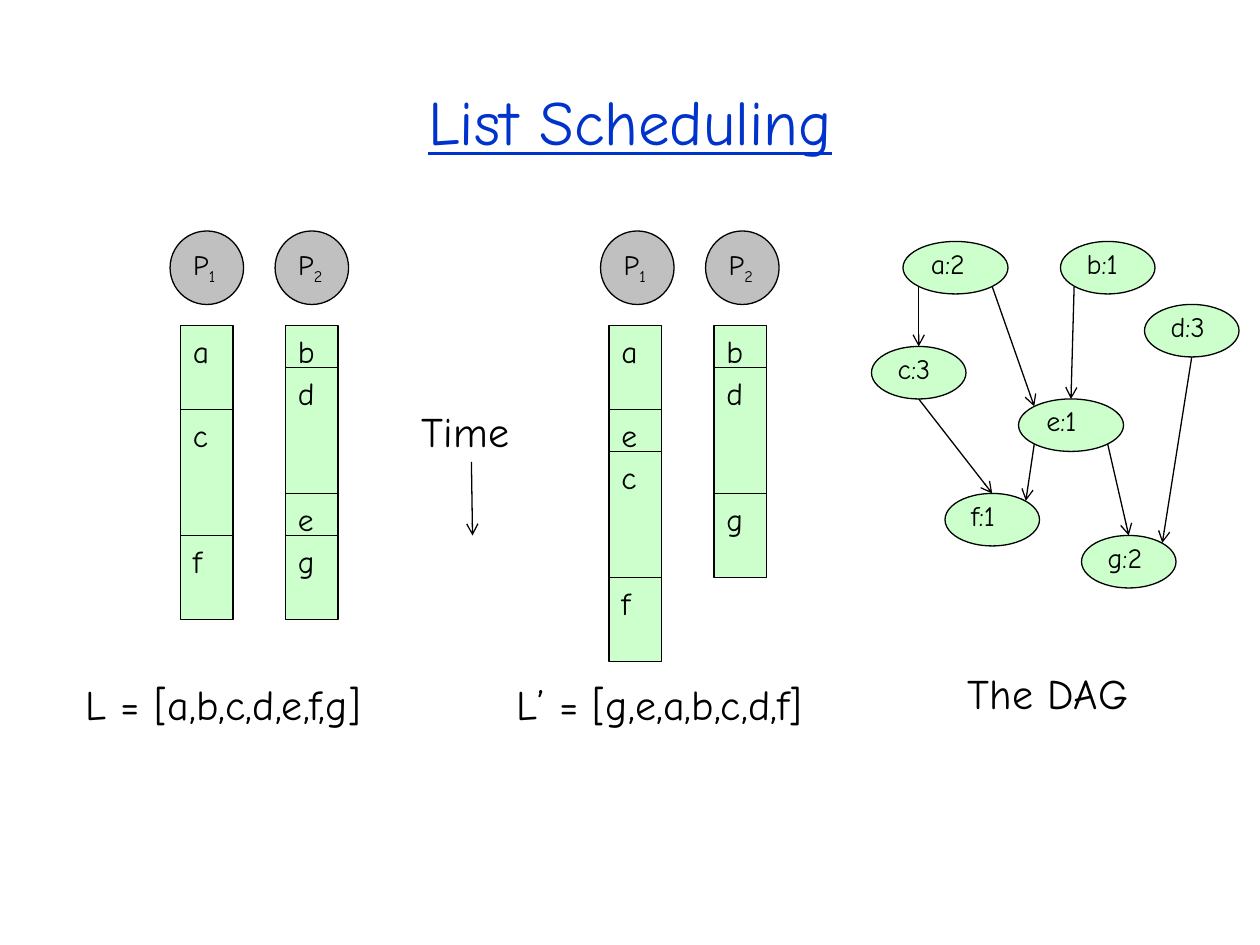
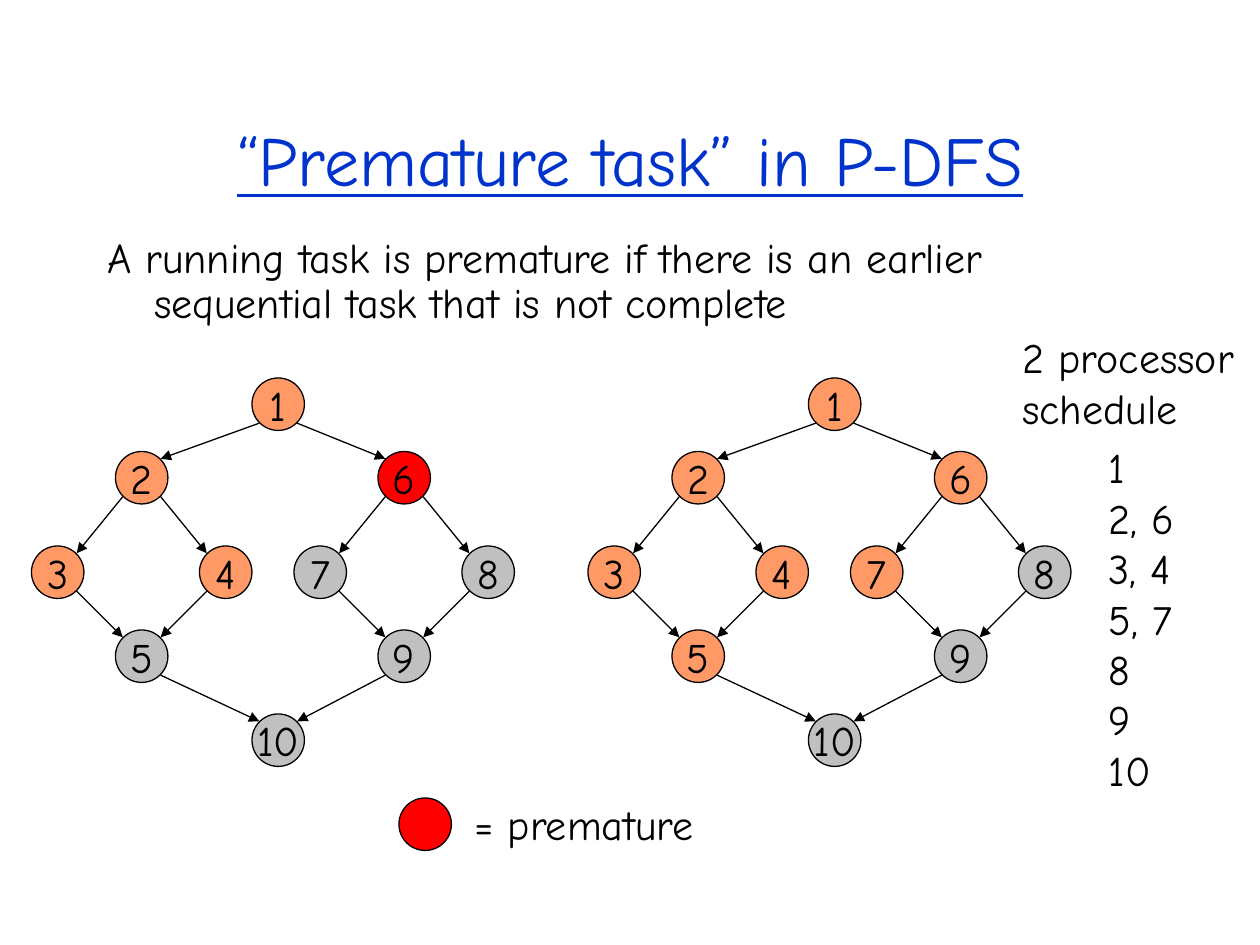
from lxml.etree import SubElement
from pptx import Presentation
from pptx.dml.color import RGBColor
from pptx.enum.shapes import MSO_CONNECTOR, MSO_SHAPE
from pptx.enum.text import MSO_ANCHOR, MSO_AUTO_SIZE, PP_ALIGN
from pptx.oxml.ns import qn
from pptx.util import Emu, Pt

BLACK = RGBColor(0x00, 0x00, 0x00)
BLUE = RGBColor(0x00, 0x33, 0xCC)
GRAY = RGBColor(0xC0, 0xC0, 0xC0)
GREEN = RGBColor(0xCC, 0xFF, 0xCC)
ORANGE = RGBColor(0xFF, 0x99, 0x66)
RED = RGBColor(0xFF, 0x00, 0x00)

FONT = "Comic Neue"
SCALE = 7620  # EMU in one px, 120 px to the inch
EDGE = 0.146  # inset of an ellipse's diagonal points, as part of its box
SITES = {"n": (0.5, 0), "s": (0.5, 1), "nw": (EDGE, EDGE), "ne": (1 - EDGE, EDGE),
         "sw": (EDGE, 1 - EDGE), "se": (1 - EDGE, 1 - EDGE)}


def px(*sizes):
    return [Emu(size * SCALE) for size in sizes]


def site(box, name):
    """Point on the outline of an ellipse, in whole px."""
    left, top, width, height = box
    across, down = SITES[name]
    return round(left + across * width), round(top + down * height)


class Deck:
    def __init__(self):
        self.prs = Presentation()
        self.prs.slide_width, self.prs.slide_height = px(1200, 900)
        self.slide = None

    def style(self, frame, size, color=BLACK, line=False):
        for para in frame.paragraphs:
            for run in para.runs:
                font = run.font
                font.name, font.size, font.underline = FONT, Pt(size), line
                font.color.rgb = color

    def place(self, holder, box, text):
        holder.left, holder.top, holder.width, holder.height = px(*box)
        frame = holder.text_frame
        frame.text = text
        frame.auto_size = MSO_AUTO_SIZE.NONE
        return frame

    def page(self, layout, title, box, size):
        self.slide = self.prs.slides.add_slide(self.prs.slide_layouts[layout])
        frame = self.place(self.slide.shapes.title, box, title)
        frame.vertical_anchor = MSO_ANCHOR.MIDDLE
        frame.paragraphs[0].alignment = PP_ALIGN.CENTER
        self.style(frame, size, BLUE, True)

    def body(self, text, box):
        frame = self.place(self.slide.placeholders[1], box, text)
        para = frame.paragraphs[0]
        para.line_spacing, para.space_before = 0.9, Pt(0)
        props = para._p.get_or_add_pPr()
        props.set("marL", str(45 * SCALE))
        props.set("indent", str(-45 * SCALE))
        SubElement(props, qn("a:buNone"))
        self.style(frame, 24)

    def label(self, text, box):
        frame = self.slide.shapes.add_textbox(*px(*box)).text_frame
        frame.text = text
        frame.word_wrap = False
        frame.auto_size = MSO_AUTO_SIZE.SHAPE_TO_FIT_TEXT
        self.style(frame, 24)

    def shape(self, kind, box, fill, text="", size=18, anchor=MSO_ANCHOR.TOP,
              align=PP_ALIGN.LEFT, wrap=True, sub=""):
        item = self.slide.shapes.add_shape(kind, *px(*box))
        item.shadow.inherit = False
        item.fill.solid()
        item.fill.fore_color.rgb = fill
        item.line.color.rgb, item.line.width = BLACK, Pt(0.75)
        if not text:
            return
        frame = item.text_frame
        frame.text = text
        frame.word_wrap, frame.vertical_anchor = wrap, anchor
        para = frame.paragraphs[0]
        para.alignment = align
        if sub:
            run = para.add_run()
            run.text = sub
            run._r.get_or_add_rPr().set("baseline", "-25000")
        self.style(frame, size)

    def arrow(self, start, end, head="arrow"):
        line = self.slide.shapes.add_connector(
            MSO_CONNECTOR.STRAIGHT, *px(*start, *end))
        line.line.color.rgb, line.line.width = BLACK, Pt(0.75)
        props = line._element.spPr
        SubElement(props.find(qn("a:ln")), qn("a:tailEnd")).set("type", head)
        SubElement(props, qn("a:effectLst"))


# Slide 1: two schedules as (task, time) stacks, and the task graph
UNIT = 40  # height of one time step
PLANS = [
    (162, 172, [[("a", 2), ("c", 3), ("f", 2)],
                [("b", 1), ("d", 3), ("e", 1), ("g", 2)]]),
    (572, 580, [[("a", 2), ("e", 1), ("c", 3), ("f", 2)],
                [("b", 1), ("d", 3), ("g", 2)]]),
]
DAG = {"a:2": (860, 230, 100, 50), "b:1": (1010, 230, 90, 50),
       "c:3": (830, 330, 90, 50), "d:3": (1090, 290, 90, 50),
       "e:1": (970, 380, 100, 50), "f:1": (900, 470, 90, 50),
       "g:2": (1030, 510, 90, 50)}
LINKS = [("a:2", "sw", "c:3", "n"), ("a:2", "se", "e:1", "nw"),
         ("b:1", "sw", "e:1", "n"), ("c:3", "s", "f:1", "n"),
         ("e:1", "sw", "f:1", "ne"), ("d:3", "s", "g:2", "ne"),
         ("e:1", "se", "g:2", "n")]


def list_slide(deck):
    deck.page(5, "List Scheduling", (90, 60, 1020, 110), 36)

    # Processors and their task stacks
    for head, left, stacks in PLANS:
        for col, stack in enumerate(stacks):
            shift = 100 * col
            deck.shape(MSO_SHAPE.OVAL, (head + shift, 220, 70, 70), GRAY,
                       "P", 16, sub=str(col + 1))
            top = 310
            for task, time in stack:
                deck.shape(MSO_SHAPE.RECTANGLE,
                           (left + shift, top, 50, time * UNIT), GREEN, task)
                top += time * UNIT

    # Task graph
    for text, box in DAG.items():
        deck.shape(MSO_SHAPE.OVAL, box, GREEN, text, 16, MSO_ANCHOR.BOTTOM)
    for start, out, end, into in LINKS:
        deck.arrow(site(DAG[start], out), site(DAG[end], into))

    # Time axis and captions
    deck.label("Time", (390, 380, 116, 61))
    deck.arrow((449, 440), (450, 510))
    deck.label("L = [a,b,c,d,e,f,g]", (70, 640, 342, 61))
    deck.label("L’ = [g,e,a,b,c,d,f]", (480, 640, 360, 61))
    deck.label("The DAG", (910, 630, 196, 61))


# Slide 2: the same task graph at two moments
SIDE = 50
SPOTS = {1: (240, 360), 2: (110, 430), 3: (30, 520), 4: (190, 520),
         5: (110, 600), 6: (360, 430), 7: (280, 520), 8: (440, 520),
         9: (360, 600), 10: (240, 680)}
NEXT = {1: (2, 6), 2: (3, 4), 3: (5,), 4: (5,), 5: (10,),
        6: (7, 8), 7: (9,), 8: (9,), 9: (10,)}


def graph(deck, shift, done, early=()):
    boxes = {num: (left + shift, top, SIDE, SIDE)
             for num, (left, top) in SPOTS.items()}
    for num, box in boxes.items():
        fill = RED if num in early else ORANGE if num in done else GRAY
        deck.shape(MSO_SHAPE.OVAL, box, fill, str(num), 24,
                   MSO_ANCHOR.MIDDLE, PP_ALIGN.CENTER, False)
    for start, ends in NEXT.items():
        for end in ends:
            right = boxes[end][0] > boxes[start][0]
            out, into = ("se", "nw") if right else ("sw", "ne")
            deck.arrow(site(boxes[start], out), site(boxes[end], into), "triangle")


def task_slide(deck):
    deck.page(1, "“Premature task” in P-DFS", (20, 101, 1160, 100), 40)
    deck.body("A running task is premature if there is an earlier "
              "sequential task that is not complete", (90, 220, 1020, 120))

    graph(deck, 0, {1, 2, 3, 4}, {6})
    graph(deck, 530, {1, 2, 3, 4, 5, 6, 7})

    # Schedule and legend
    deck.label("2 processor\nschedule", (962, 310, 228, 108))
    deck.label("1\n2, 6\n3, 4\n5, 7\n8\n9\n10", (1044, 415, 92, 348))
    deck.shape(MSO_SHAPE.OVAL, (380, 760, SIDE, SIDE), RED)
    deck.label("= premature", (440, 755, 248, 60))


def main():
    deck = Deck()
    list_slide(deck)
    task_slide(deck)
    deck.prs.save("out.pptx")


if __name__ == "__main__":
    main()
